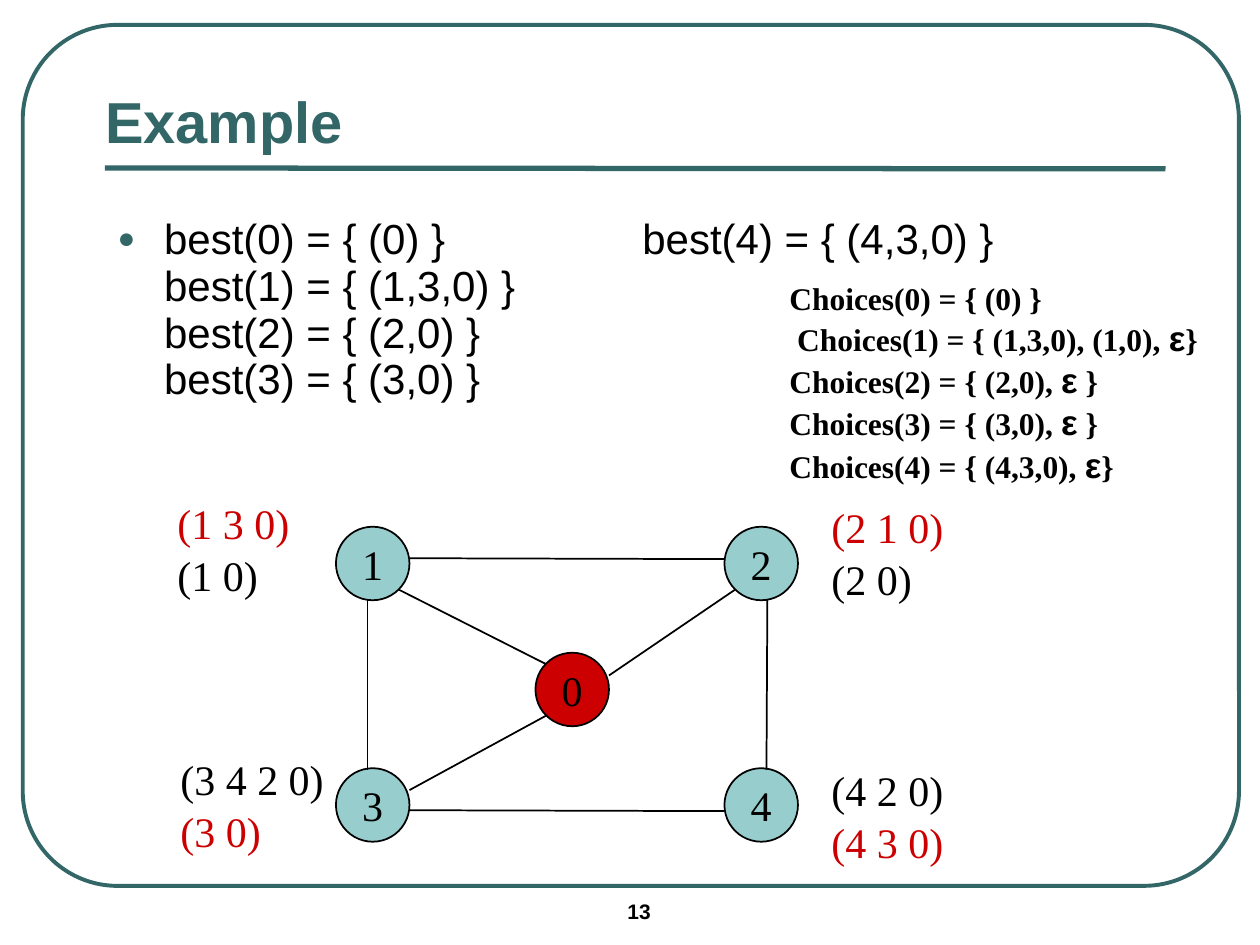
from lxml.etree import SubElement
from pptx import Presentation
from pptx.dml.color import RGBColor
from pptx.enum.shapes import MSO_CONNECTOR as Link, MSO_SHAPE as Preset
from pptx.enum.text import MSO_ANCHOR as Anchor, MSO_AUTO_SIZE as Fit, PP_ALIGN as Align
from pptx.oxml.ns import qn
from pptx.util import Pt

COLORS = {"teal": "336666", "aqua": "97CDCC", "red": "CC0000", "black": "000000"}


def color(name):
    return RGBColor.from_string(COLORS[name])


def write(paragraph, text, size=24, font="Arial", ink="black", bold=False):
    for index, line in enumerate(text.split("\n")):
        if index:
            paragraph.add_line_break()
        run = paragraph.add_run()
        run.text = line
        run.font.size = Pt(size)
        run.font.name = font
        run.font.bold = bold
        run.font.color.rgb = color(ink)


class SlideBuilder:
    """Draws styled elements on one slide, with lengths in points."""

    serif = "Times New Roman"
    inset = (7.2, 3.6)

    def __init__(self, slide):
        self.slide = slide

    def frame(self, shape, inset=inset, anchor=Anchor.TOP, wrap=True):
        text = shape.text_frame
        text.margin_left = text.margin_right = Pt(inset[0])
        text.margin_top = text.margin_bottom = Pt(inset[1])
        text.vertical_anchor = anchor
        text.auto_size = Fit.NONE
        text.word_wrap = wrap
        return text

    def placeholder(self, index, box, **layout):
        holder = self.slide.placeholders[index]
        holder.left, holder.top, holder.width, holder.height = map(Pt, box)
        return self.frame(holder, **layout)

    def title(self, text, box):
        heading = self.placeholder(0, box, inset=(0, 0), anchor=Anchor.MIDDLE).paragraphs[0]
        heading.alignment = Align.LEFT
        write(heading, text, size=33, ink="teal", bold=True)

    def bullet(self, text, box):
        item = self.placeholder(1, box).paragraphs[0]
        item.line_spacing = Pt(26.7)
        item.space_before = Pt(0)
        properties = item._p.get_or_add_pPr()
        properties.set("marL", str(Pt(26.6)))
        properties.set("indent", str(-Pt(26.6)))
        tint = SubElement(properties, qn("a:buClr"))
        SubElement(tint, qn("a:srgbClr"), val=COLORS["teal"])
        SubElement(properties, qn("a:buSzPct"), val="70000")
        SubElement(properties, qn("a:buFont"), typeface="Arial")
        SubElement(properties, qn("a:buChar"), char="●")
        write(item, text)

    def text(self, lines, box, spacing=None, first_spacing=None, wrap=True):
        block = self.frame(self.slide.shapes.add_textbox(*map(Pt, box)), wrap=wrap)
        for index, pieces in enumerate(lines):
            line = block.add_paragraph() if index else block.paragraphs[0]
            line.line_spacing = Pt(spacing) if index and spacing else first_spacing
            for content, style in pieces:
                write(line, content, **style)

    def outline(self, preset, box, line, weight, fill=None):
        shape = self.slide.shapes.add_shape(preset, *map(Pt, box))
        shape.shadow.inherit = False
        shape.line.color.rgb = color(line)
        shape.line.width = Pt(weight)
        if fill:
            shape.fill.solid()
            shape.fill.fore_color.rgb = color(fill)
        else:
            shape.fill.background()
        return shape

    def node(self, name, left, top, fill="aqua"):
        circle = self.outline(Preset.OVAL, (left, top, 42, 42), "black", 1, fill)
        label = self.frame(circle, (0, 0), Anchor.MIDDLE, wrap=False).paragraphs[0]
        label.alignment = Align.CENTER
        write(label, name, font=self.serif)

    def line(self, ends, ink="black", weight=1):
        edge = self.slide.shapes.add_connector(Link.STRAIGHT, *map(Pt, ends))
        edge.line.color.rgb = color(ink)
        edge.line.width = Pt(weight)
        SubElement(edge._element.spPr, qn("a:effectLst"))

    def paths(self, routes, left, top, width=79):
        lines = [[(route, {"font": self.serif, "ink": ink})] for route, ink in routes]
        self.text(lines, (left, top, width, 63), spacing=29.7, wrap=False)


def main():
    deck = Presentation()
    deck.slide_width, deck.slide_height = Pt(720), Pt(540)
    page = SlideBuilder(deck.slides.add_slide(deck.slide_layouts[1]))

    number = [[("13", {"size": 12, "bold": True})]]
    page.text(number, (351.4, 511.2, 84, 21), first_spacing=0.93)
    border = page.outline(Preset.ROUNDED_RECTANGLE, (13, 14.2, 695, 492), "teal", 2.25)
    border.adjustments[0] = 0.11
    page.line((60, 96, 666, 96.5), "teal", 3)
    page.title("Example", (60, 42, 606, 54))
    page.bullet("best(0) = { (0) }\nbest(1) = { (1,3,0) }\nbest(2) = { (2,0) }\nbest(3) = { (3,0) }",
                (60, 120, 606, 348))
    page.text([[("best(4) = { (4,3,0) }", {})]], (360, 120, 240, 36), first_spacing=Pt(26.7))

    for name, left, top in (("1", 192, 301), ("2", 414, 301), ("3", 192, 439), ("4", 414, 439)):
        page.node(name, left, top)
    page.node("0", 306, 373, "red")
    for ends in ((234, 463, 414, 463.5), (210, 440, 210, 343), (438, 440, 438.5, 343),
                 (234, 319, 414, 319.5), (234, 451.5, 312, 409), (348, 386, 420, 337),
                 (228, 337, 312, 379.5)):
        page.line(ends)

    page.paths((("(1 3 0)", "red"), ("(1 0)", "black")), 94.3, 281)
    page.paths((("(3 4 2 0)", "black"), ("(3 0)", "red")), 96, 427, 97)
    page.paths((("(4 2 0)", "black"), ("(4 3 0)", "red")), 468, 433.5)
    page.paths((("(2 1 0)", "red"), ("(2 0)", "black")), 468, 283)

    words = {"size": 18, "font": page.serif, "bold": True}
    epsilon = {"size": 20, "bold": True}
    choices = [[("Choices(0) = { (0) }", words)]]
    for start, end in ((" Choices(1) = { (1,3,0), (1,0), ", "}"), ("Choices(2) = { (2,0), ", " }"),
                       ("Choices(3) = { (3,0), ", " }"), ("Choices(4) = { (4,3,0), ", "}")):
        choices.append([(start, words), ("ε", epsilon), (end, words)])
    page.text(choices, (444, 156, 261, 147), spacing=24)

    deck.save("out.pptx")


if __name__ == "__main__":
    main()
